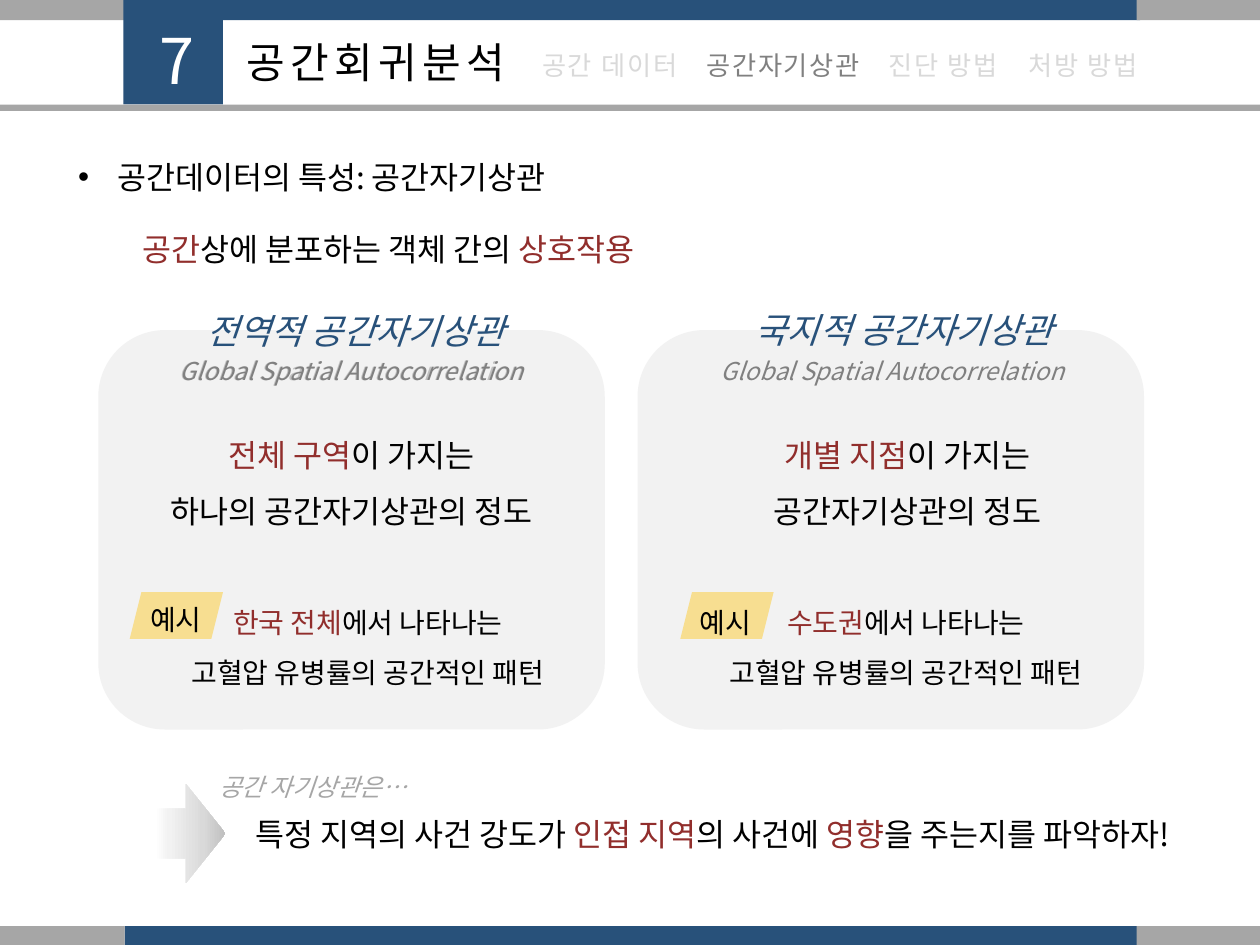
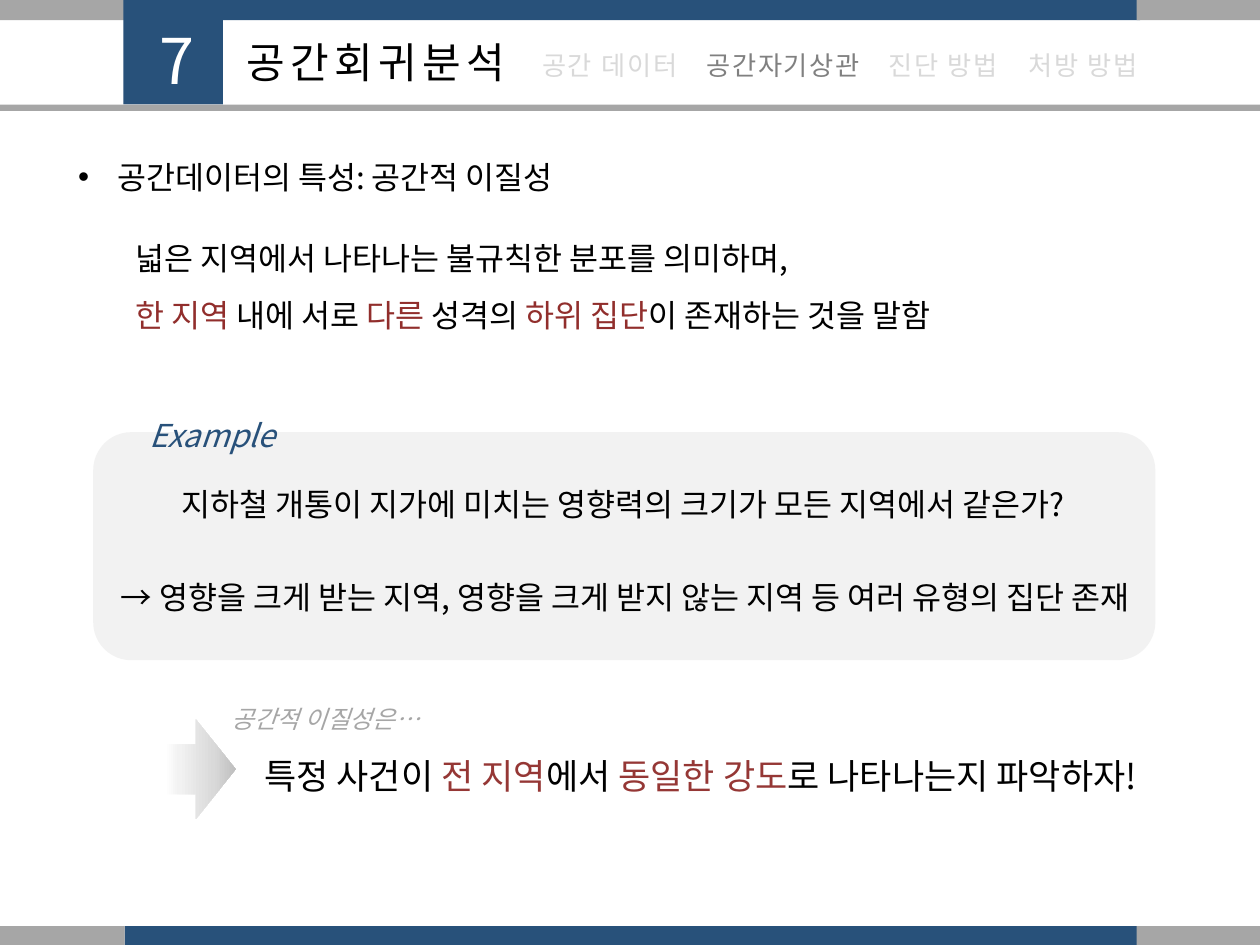
from dataclasses import dataclass
from lxml import etree
from pptx import Presentation
from pptx.dml.color import RGBColor
from pptx.enum import shapes, text
from pptx.oxml import ns
from pptx.util import Inches, Pt


@dataclass(frozen=True)
class Theme:
    font: str = "Noto Sans CJK KR"
    navy: str = "28517A"
    band: str = "A6A6A6"
    panel: str = "F2F2F2"
    tag: str = "FFC100"
    black: str = "000000"
    white: str = "FFFFFF"
    accent: str = "912E2C"
    accent_strong: str = "953735"
    grey: str = "808080"
    pale: str = "BFBFBF"
    faint: str = "D9D9D9"
    number_pt: int = 36
    title_pt: int = 24
    heading_pt: int = 20
    body_pt: int = 18
    example_pt: int = 16
    nav_pt: int = 15
    note_pt: int = 14


T = Theme()
SHAPE = shapes.MSO_SHAPE
CENTER = text.PP_ALIGN.CENTER

# Content: text between asterisks takes the accent colour
SECTION, TITLE = "7", "공간회귀분석"
NAV = [("공간 데이터", 3.82, 2.04), ("공간자기상관", 5.47, 1.49),
       ("진단 방법", 6.74, 1.49), ("처방 방법", 7.85, 1.49)]
CURRENT = "공간자기상관"

AUTOCORRELATION = {
    "topic": "공간데이터의 특성: 공간자기상관",
    "definition": ["*공간*상에 분포하는 객체 간의 *상호작용*"],
    "lead": "공간 자기상관은…",
    "conclusion": "특정 지역의 사건 강도가 *인접 지역*의 사건에 *영향*을 주는지를 파악하자!",
}
ENGLISH = "Global Spatial Autocorrelation"
# Each part's box is (left, top, width, height)
CARDS = [
    {"left": 0.78, "heading": "전역적 공간자기상관", "heading_at": (1.54, 2.41, 3.46, 0.44),
     "english": [(1.32, T.pale), (1.33, T.grey)],
     "meaning": ["*전체 구역*이 가지는", "하나의 공간자기상관의 정도"],
     "meaning_at": (0.98, 3.26, 3.62, 0.97),
     "example": ["*한국 전체*에서 나타나는", "고혈압 유병률의 공간적인 패턴"],
     "example_left": 1.11, "tag_left": 1.03, "tag_text": (1.01, 4.6)},
    {"left": 5.06, "heading": "국지적 공간자기상관", "heading_at": (5.89, 2.4, 3.45, 0.44),
     "english": [(5.62, T.grey)],
     "meaning": ["*개별 지점*이 가지는", "공간자기상관의 정도"],
     "meaning_at": (5.62, 3.26, 3.16, 0.97),
     "example": ["*수도권*에서 나타나는", "고혈압 유병률의 공간적인 패턴"],
     "example_left": 5.38, "tag_left": 5.4, "tag_text": (5.37, 4.62)},
]

HETEROGENEITY = {
    "topic": "공간데이터의 특성: 공간적 이질성",
    "definition": ["넓은 지역에서 나타나는 불규칙한 분포를 의미하며,",
                   "*한 지역 *내에 서로 *다른* 성격의 *하위 집단*이 존재하는 것을 말함"],
    "question": "지하철 개통이 지가에 미치는 영향력의 크기가 모든 지역에서 같은가?",
    "answer": "→ 영향을 크게 받는 지역, 영향을 크게 받지 않는 지역 등 여러 유형의 집단 존재",
    "lead": "공간적 이질성은…",
    "conclusion": "특정 사건이 *전 지역*에서 *동일한 강도*로 나타나는지 파악하자!",
}


# Helpers
def sub(parent, tag, **attrs):
    return etree.SubElement(parent, ns.qn(tag), attrs)


def place(sp, at):
    sp.left, sp.top, sp.width, sp.height = map(Inches, at)


def style_run(r, size, color, italic=False, spacing=0):
    f = r.font
    f.size, f.name = Pt(size), T.font
    f.color.rgb = RGBColor.from_string(color)
    if italic:
        f.italic = True
    rPr = r._r.get_or_add_rPr()
    rPr.find(ns.qn("a:latin")).addnext(
        rPr.makeelement(ns.qn("a:ea"), {"typeface": T.font}))
    if spacing:
        rPr.set("spc", str(spacing * 100))


def write(sp, lines, size=T.body_pt, color=T.black, accent=T.accent,
          align=None, leading=None, italic=False, spacing=0):
    tf = sp.text_frame
    tf.word_wrap = True
    tf.auto_size = text.MSO_AUTO_SIZE.SHAPE_TO_FIT_TEXT
    tf.vertical_anchor = text.MSO_ANCHOR.TOP
    for i, line in enumerate(lines):
        p = tf.add_paragraph() if i else tf.paragraphs[0]
        p.alignment = align
        if leading:
            p.line_spacing = leading
        for j, part in enumerate(line.split("*")):
            if part:
                r = p.add_run()
                r.text = part
                style_run(r, size, accent if j % 2 else color, italic, spacing)


def label(s, at, *lines, **style):
    sp = s.shapes.add_textbox(*map(Inches, at))
    write(sp, lines, **style)
    return sp


def block(parent, at, color, kind=SHAPE.RECTANGLE):
    sp = parent.add_shape(kind, *map(Inches, at))
    sp.shadow.inherit = False
    sp.fill.solid()
    sp.fill.fore_color.rgb = RGBColor.from_string(color)
    sp.line.fill.background()
    return sp


def gradient_arrow(s, left, top):
    sp = block(s.shapes, (left, top, 0.63, 0.79), T.white, SHAPE.RIGHT_ARROW)
    sp.fill.gradient()
    sp.fill.gradient_angle = 0
    stops = sp._element.spPr.find(".//" + ns.qn("a:gsLst"))
    for old in list(stops):
        stops.remove(old)
    for pos, color in [(11, T.white), (29, T.panel), (72, T.faint), (100, T.pale)]:
        sub(sub(stops, "a:gs", pos=str(pos * 1000)), "a:srgbClr", val=color)


# Shared frame: bands, section number, title, navigation, topic bullet
def bullet_topic(sp, topic):
    place(sp, (0.52, 1.2, 8.19, 0.4))
    p = sp.text_frame.paragraphs[0]
    pPr = p._p.get_or_add_pPr()
    pPr.set("marL", str(Inches(0.31)))
    pPr.set("indent", str(-Inches(0.31)))
    sub(pPr, "a:buFont", typeface="Arial")
    sub(pPr, "a:buChar", char="•")
    p.space_before = Pt(0)
    write(sp, [topic])
    # Thin translucent outline thickens the letters
    rPr = p.runs[0]._r.get_or_add_rPr()
    ln = rPr.makeelement(ns.qn("a:ln"), {"w": str(Pt(0.75))})
    rPr.insert(0, ln)
    clr = sub(sub(ln, "a:solidFill"), "a:srgbClr", val=T.black)
    sub(clr, "a:alpha", val="20000")


def new_slide(prs, topic):
    s = prs.slides.add_slide(prs.slide_layouts[1])
    title, body = s.placeholders
    for top in (0, 7.35):
        band = s.shapes.add_group_shape().shapes
        for left, width, color in [(0.99, 8.06, T.navy), (0, 0.99, T.band), (9.02, 0.98, T.band)]:
            block(band, (left, top, width, 0.16), color)
    block(s.shapes, (0.98, 0, 0.79, 0.83), T.navy)
    block(s.shapes, (-0.05, 0.83, 10.24, 0.05), T.band)
    label(s, (0.97, 0.12, 0.87, 0.71), SECTION, size=T.number_pt,
          color=T.white, align=CENTER, spacing=3)
    place(title, (1.86, 0.24, 3.7, 0.5))
    write(title, [TITLE], size=T.title_pt, align=text.PP_ALIGN.LEFT, spacing=3)
    for name, left, width in NAV:
        label(s, (left, 0.34, width, 0.35), name, size=T.nav_pt, align=CENTER,
              color=T.grey if name == CURRENT else T.faint, spacing=1)
    bullet_topic(body, topic)
    return s


def takeaway(s, content, arrow_at, lead_at, text_at, **style):
    gradient_arrow(s, *arrow_at)
    label(s, (*lead_at, 3.46, 0.34), content["lead"], size=T.note_pt,
          color=T.band, italic=True)
    label(s, text_at, content["conclusion"], **style)


def card(s, c):
    block(s.shapes, (c["left"], 2.62, 4.02, 3.17), T.panel, SHAPE.ROUNDED_RECTANGLE)
    label(s, c["heading_at"], c["heading"], size=T.heading_pt, color=T.navy, italic=True)
    for left, color in c["english"]:
        label(s, (left, 2.78, 3.41, 0.34), ENGLISH, size=T.note_pt, color=color, italic=True)
    label(s, c["meaning_at"], *c["meaning"], align=CENTER, leading=1.5)
    label(s, (c["example_left"], 4.62, 3.62, 0.87), *c["example"],
          size=T.example_pt, align=CENTER, leading=1.5)
    tag = block(s.shapes, (c["tag_left"], 4.7, 0.74, 0.37), T.tag, SHAPE.PARALLELOGRAM)
    clr = tag._element.spPr.find(ns.qn("a:solidFill"))[0]
    sub(clr, "a:alpha", val="40000")
    label(s, (*c["tag_text"], 0.77, 0.47), "예시", size=T.example_pt,
          align=CENTER, leading=1.5)


# Slides
def autocorrelation_slide(prs):
    content = AUTOCORRELATION
    s = new_slide(prs, content["topic"])
    label(s, (1.03, 1.78, 7.17, 0.4), *content["definition"])
    for c in CARDS:
        card(s, c)
    takeaway(s, content, (1.16, 6.22), (1.64, 6.08), (1.93, 6.42, 7.8, 0.4))


def heterogeneity_slide(prs):
    content = HETEROGENEITY
    s = new_slide(prs, content["topic"])
    label(s, (0.98, 1.7, 7.17, 0.97), *content["definition"], leading=1.5)
    block(s.shapes, (0.74, 3.43, 8.43, 1.81), T.panel, SHAPE.ROUNDED_RECTANGLE)
    label(s, (1.34, 3.8, 7.17, 0.4), content["question"])
    label(s, (1.09, 3.25, 3.21, 0.4), "Example", color=T.navy, italic=True)
    label(s, (0.86, 4.54, 8.43, 0.4), content["answer"])
    takeaway(s, content, (1.24, 5.71), (1.74, 5.54), (2, 5.77, 7.5, 0.56),
             size=T.heading_pt, accent=T.accent_strong, leading=1.5)


def main():
    prs = Presentation()
    prs.slide_width, prs.slide_height = Inches(10), Inches(7.5)
    autocorrelation_slide(prs)
    heterogeneity_slide(prs)
    prs.save("out.pptx")


if __name__ == "__main__":
    main()
